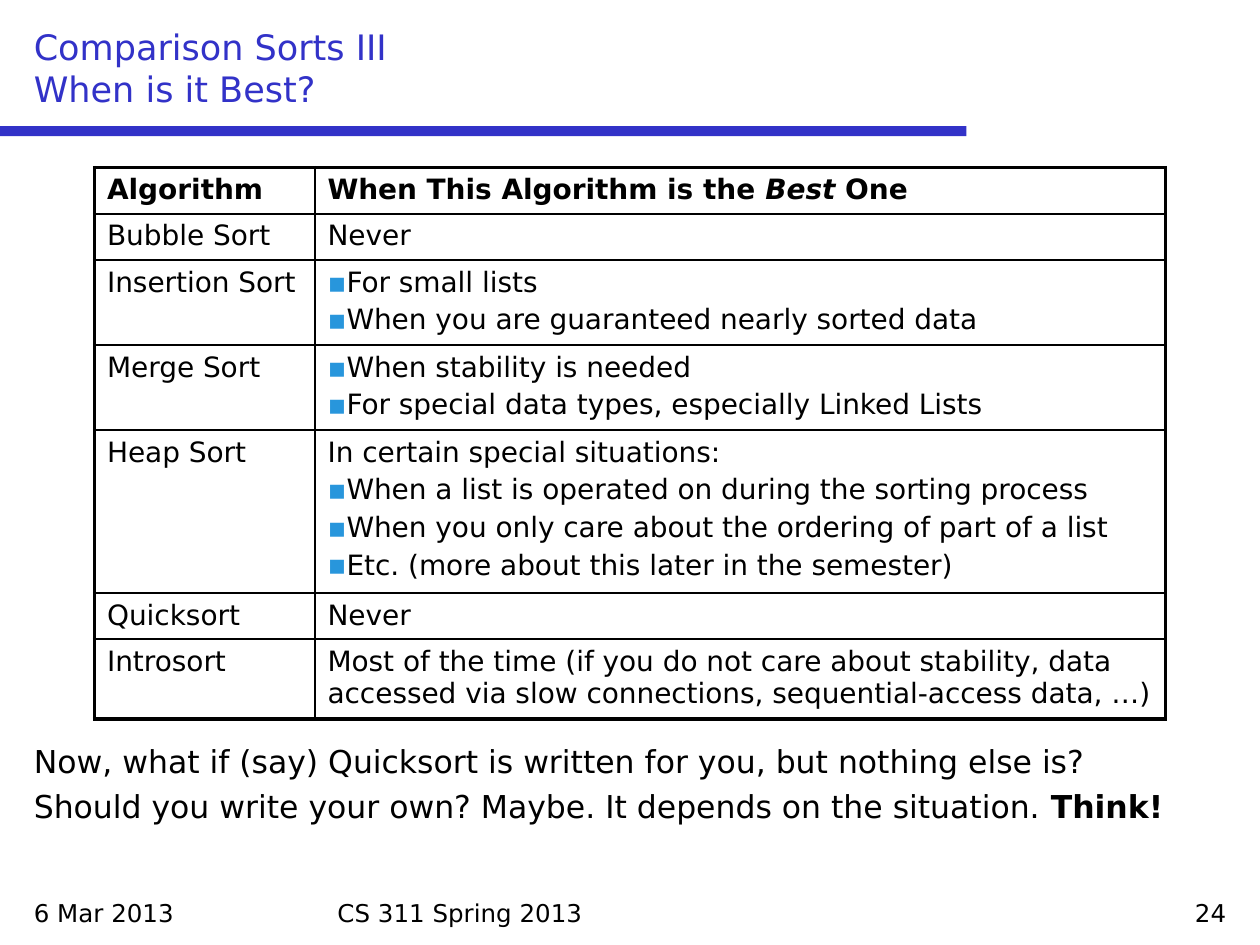
from lxml import etree
from pptx import Presentation
from pptx.dml.color import RGBColor
from pptx.enum.shapes import MSO_SHAPE
from pptx.enum.text import MSO_ANCHOR, PP_ALIGN
from pptx.oxml.ns import qn
from pptx.util import Inches, Pt

RECTANGLE = MSO_SHAPE.RECTANGLE
TOP, BOTTOM = MSO_ANCHOR.TOP, MSO_ANCHOR.BOTTOM
LEFT, RIGHT = PP_ALIGN.LEFT, PP_ALIGN.RIGHT
COLORS = {"title": "3232C8", "text": "000000", "bullet": "2896DC"}
FONT = "DejaVu Sans"
BULLET = "▪"
THIN, THICK = Pt(1), Pt(2.25)

presentation = Presentation()
presentation.slide_width, presentation.slide_height = Inches(10), Inches(7.5)
slide = presentation.slides.add_slide(presentation.slide_layouts[6])


def write(frame, paragraphs, size, color="text", gap=0, align=LEFT):
    """Fill a text frame with paragraphs, each a list of (text, format) runs."""
    frame.word_wrap = True
    for index, runs in enumerate(paragraphs):
        paragraph = frame.paragraphs[0] if index == 0 else frame.add_paragraph()
        paragraph.alignment = align
        paragraph.space_before = Pt(gap if index else 0)
        for text, formats in runs:
            if text == BULLET:
                properties = paragraph._p.get_or_add_pPr()
                bullet_color = etree.SubElement(properties, qn("a:buClr"))
                etree.SubElement(bullet_color, qn("a:srgbClr"), val=COLORS["bullet"])
                etree.SubElement(properties, qn("a:buFont"), typeface=FONT)
                etree.SubElement(properties, qn("a:buChar"), char=BULLET)
                continue
            for part, line in enumerate(text.split("\n")):
                if part:
                    paragraph.add_line_break()
                run = paragraph.add_run()
                run.text = line
                run.font.color.rgb = RGBColor.from_string(COLORS[color])
                values = {"name": FONT, "size": Pt(size), "bold": False, **formats}
                for name, value in values.items():
                    setattr(run.font, name, value)


def set_borders(cell, widths):
    """Draw the left, right, top and bottom borders of a cell."""
    properties = cell._tc.get_or_add_tcPr()
    for index, (side, width) in enumerate(zip("LRTB", widths)):
        line = etree.Element(qn(f"a:ln{side}"), w=str(width))
        fill = etree.SubElement(line, qn("a:solidFill"))
        etree.SubElement(fill, qn("a:srgbClr"), val=COLORS["text"])
        properties.insert(index, line)


# Title rule
bar = slide.shapes.add_shape(RECTANGLE, 0, Inches(1), Inches(7.67), Inches(0.08))
bar.shadow.inherit = False
bar.fill.solid()
bar.fill.fore_color.rgb = RGBColor.from_string(COLORS["title"])
bar.line.fill.background()

# Title, closing remark and footer
closing = [
    [("Now, what if (say) Quicksort is written for you, but nothing else is?", {})],
    [("Should you write your own? Maybe. It depends on the situation. ", {}),
     ("Think!", {"bold": True})],
]
texts = [
    ((0.17, 0.17, 9.67, 0.75), [[("Comparison Sorts III\nWhen is it Best?", {})]],
     20, "title", LEFT, BOTTOM),
    ((0.17, 5.84, 9.67, 1.16), closing, 18, "text", LEFT, TOP),
    ((0.17, 7.08, 2.33, 0.33), [[("6 Mar 2013", {})]], 14, "text", LEFT, TOP),
    ((2.58, 7.08, 4.83, 0.33), [[("CS 311 Spring 2013", {})]], 14, "text", LEFT, TOP),
    ((7.5, 7.08, 2.33, 0.33), [[("24", {})]], 14, "text", RIGHT, TOP),
]
for place, paragraphs, size, color, align, anchor in texts:
    box = slide.shapes.add_textbox(*map(Inches, place))
    box.text_frame.vertical_anchor = anchor
    write(box.text_frame, paragraphs, size, color, 4.2, align)

# Table: row height, algorithm, plain lead-in, bulleted cases
sorts = [
    (0.36, "Bubble Sort", "Never", []),
    (0.66, "Insertion Sort", "",
     ["For small lists", "When you are guaranteed nearly sorted data"]),
    (0.66, "Merge Sort", "",
     ["When stability is needed", "For special data types, especially Linked Lists"]),
    (1.25, "Heap Sort", "In certain special situations:",
     ["When a list is operated on during the sorting process",
      "When you only care about the ordering of part of a list",
      "Etc. (more about this later in the semester)"]),
    (0.36, "Quicksort", "Never", []),
    (0.62, "Introsort",
     "Most of the time (if you do not care about stability, data accessed via "
     "slow connections, sequential-access data, …)", []),
]
bold = {"bold": True}
rows = [(0.36, [[("Algorithm", bold)]],
         [[("When This Algorithm is the ", bold),
           ("Best", {"bold": True, "italic": True}), (" One", bold)]])]
for height, algorithm, lead, cases in sorts:
    answer = [[(lead, {})]] if lead else []
    answer += [[(BULLET, {}), (case, {})] for case in cases]
    rows.append((height, [[(algorithm, {})]], answer))

total = sum(row[0] for row in rows)
table = slide.shapes.add_table(len(rows), 2, Inches(0.75), Inches(1.33),
                               Inches(8.5), Inches(total)).table
table.first_row = table.horz_banding = False
for column, width in zip(table.columns, (1.75, 6.75)):
    column.width = Inches(width)
last = len(rows) - 1
for index, (height, *contents) in enumerate(rows):
    table.rows[index].height = Inches(height)
    for column, paragraphs in enumerate(contents):
        cell = table.cell(index, column)
        cell.fill.background()
        write(cell.text_frame, paragraphs, 16, gap=3)
        outer = (column == 0, column == 1, index == 0, index == last)
        set_borders(cell, [THICK if edge else THIN for edge in outer])

presentation.save("out.pptx")
